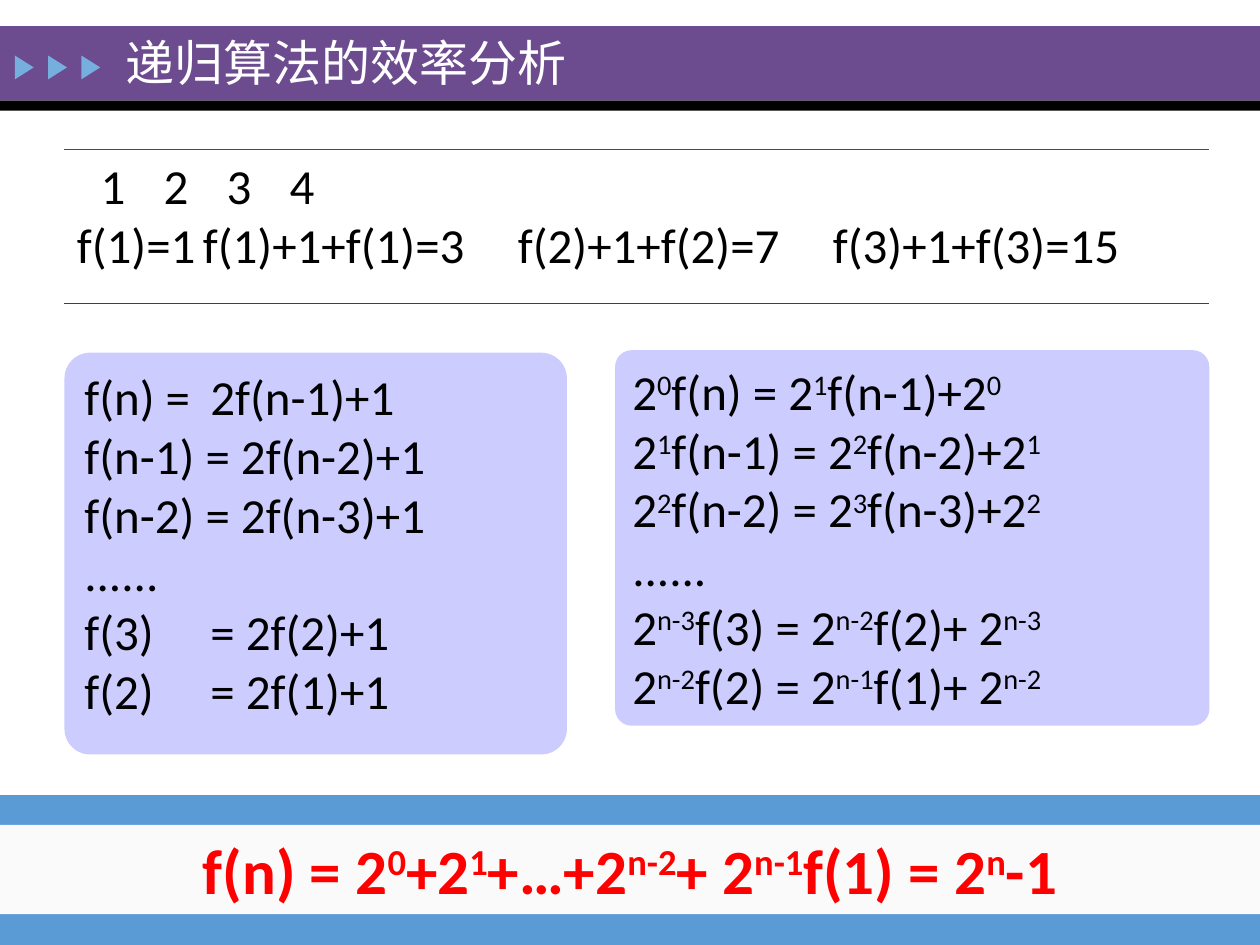
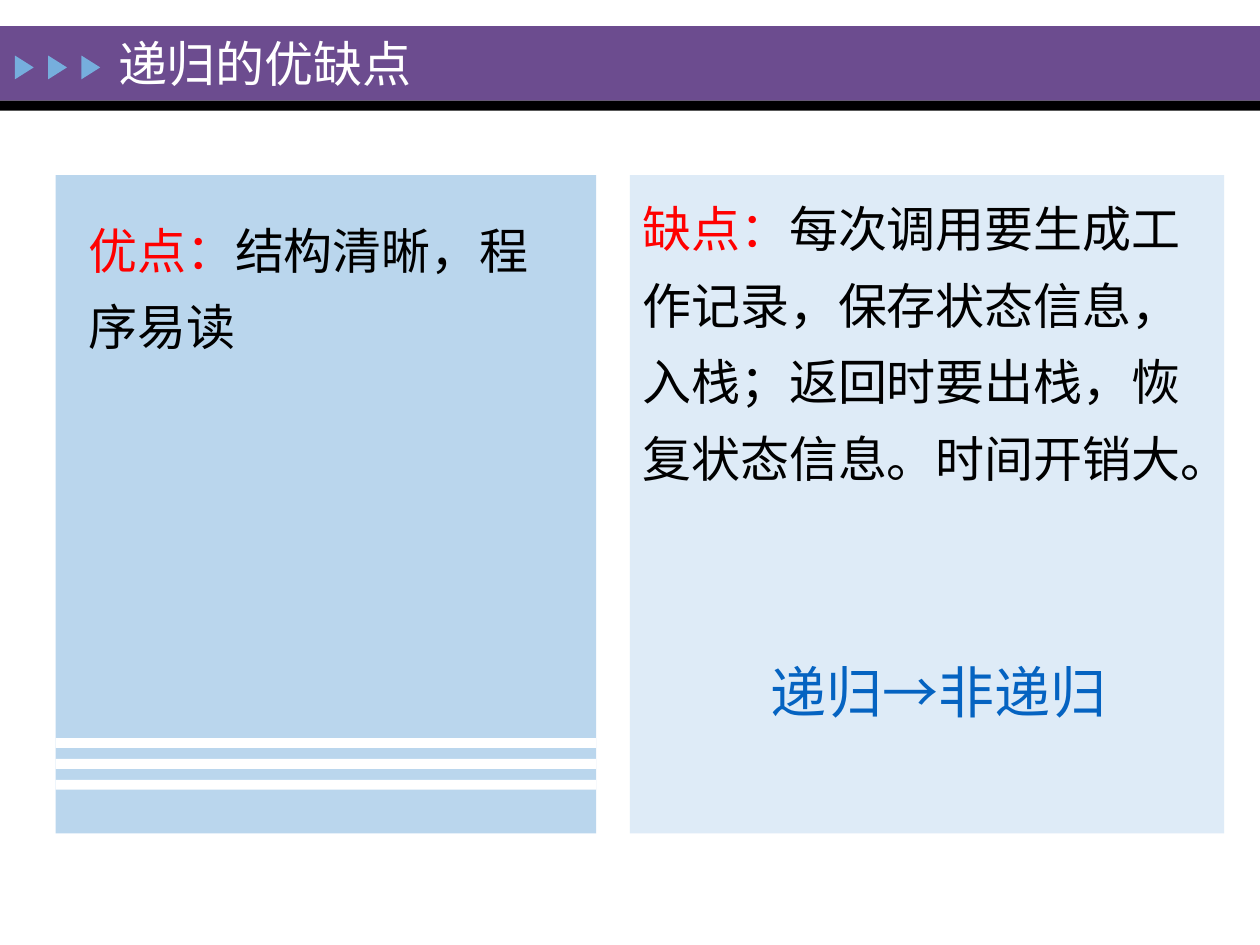
from lxml.etree import SubElement
from pptx import Presentation
from pptx.dml.color import RGBColor
from pptx.enum.shapes import MSO_CONNECTOR, MSO_SHAPE
from pptx.enum.text import MSO_ANCHOR, PP_ALIGN
from pptx.oxml.ns import qn
from pptx.util import Cm, Pt

FONT = "Calibri"
COLORS = {
    "band": "6C4C8F", "black": "000000", "white": "FFFFFF", "sky": "76AEDD",
    "footer": "5B9BD5", "strip": "FAFAFA", "panel": "CCCCFF", "pale": "DEEBF7",
    "red": "FF0000", "link": "0563C1", "rule": "404040",
}
WIDTH, HEIGHT = 25.4, 19.05


def color(name):
    return RGBColor.from_string(COLORS[name])


def add_block(slide, box, fill, kind=MSO_SHAPE.RECTANGLE, alpha=None):
    shape = slide.shapes.add_shape(kind, *map(Cm, box))
    shape.shadow.inherit = False
    shape.fill.solid()
    shape.fill.fore_color.rgb = color(fill)
    shape.line.fill.background()
    if alpha is not None:
        fill_color = shape.fill._xPr.find(qn("a:solidFill"))[0]
        SubElement(fill_color, qn("a:alpha")).set("val", str(alpha * 1000))
    return shape


def add_text_box(slide, box, wrap=True, anchor=MSO_ANCHOR.TOP):
    shape = slide.shapes.add_textbox(*map(Cm, box))
    shape.text_frame.word_wrap = wrap
    shape.text_frame.vertical_anchor = anchor
    return shape


def add_rule(slide, left, top, width, line_color, weight):
    rule = slide.shapes.add_connector(
        MSO_CONNECTOR.STRAIGHT, Cm(left), Cm(top), Cm(left + width), Cm(top))
    rule.line.color.rgb = color(line_color)
    rule.line.width = Pt(weight)
    SubElement(rule._element.spPr, qn("a:effectLst"))


def add_run(paragraph, text, text_color="black", size=28, bold=False):
    run = paragraph.add_run()
    run.text = text
    run.font.name = FONT
    run.font.size = Pt(size)
    run.font.bold = bold
    run.font.color.rgb = color(text_color)
    return run


def add_formula(paragraph, formula, **style):
    """Text between a pair of ^ marks is raised."""
    for index, part in enumerate(formula.split("^")):
        if part:
            run = add_run(paragraph, part, **style)
            if index % 2:
                run._r.get_or_add_rPr().set("baseline", "30000")


def set_tabs(paragraph, stops, indent=0):
    properties = paragraph._p.get_or_add_pPr()
    properties.set("marL", str(Cm(indent)))
    properties.set("indent", "0")
    tab_list = SubElement(properties, qn("a:tabLst"))
    for stop in stops:
        SubElement(tab_list, qn("a:tab"), pos=str(Cm(stop)), algn="l")


def add_lines(shape, lines):
    """Each line is (formula, tab stops, indent)."""
    frame = shape.text_frame
    for index, (formula, stops, indent) in enumerate(lines):
        paragraph = frame.add_paragraph() if index else frame.paragraphs[0]
        paragraph.alignment = PP_ALIGN.LEFT
        if stops:
            set_tabs(paragraph, stops, indent)
        add_formula(paragraph, formula)


def add_header(slide, title, box):
    add_block(slide, (0, 0.53, WIDTH, 1.5), "band")
    add_block(slide, (0, 2.03, WIDTH, 0.2), "black")
    for index in range(3):
        arrow = add_block(slide, (0.25 + 0.67 * index, 1.17, 0.48, 0.38), "sky",
                          MSO_SHAPE.ISOSCELES_TRIANGLE)
        arrow.rotation = 90
    title_box = add_text_box(slide, box, anchor=MSO_ANCHOR.MIDDLE)
    add_run(title_box.text_frame.paragraphs[0], title, "white")


def add_move_counts(slide, box):
    left, top, width, height = box
    counts = add_text_box(slide, (left, top, width, height - 0.46))
    add_lines(counts, [
        ("1\t2\t3\t4", (4.06, 10.62, 15.8), 0.48),
        ("f(1)=1\tf(1)+1+f(1)=3\tf(2)+1+f(2)=7\tf(3)+1+f(3)=15",
         (3.07, 9.25, 15.16), 0),
    ])
    add_rule(slide, left, top, width, "red", 0.75)
    add_rule(slide, left, top + height, width, "rule", 0.5)


def add_panel(slide, box, corner, lines):
    panel = add_block(slide, box, "panel", MSO_SHAPE.ROUNDED_RECTANGLE)
    panel.adjustments[0] = corner
    panel.text_frame.vertical_anchor = MSO_ANCHOR.TOP
    add_lines(panel, lines)


def add_result(slide, box, formula):
    left, top, width, height = box
    add_block(slide, box, "footer")
    strip = add_block(slide, (left, top + 0.6, width, 1.8), "strip")
    strip.text_frame.vertical_anchor = MSO_ANCHOR.TOP
    paragraph = strip.text_frame.paragraphs[0]
    paragraph.alignment = PP_ALIGN.CENTER
    add_formula(paragraph, formula, text_color="red", size=36, bold=True)


def add_judgement(shape, label, text):
    shape.text_frame.vertical_anchor = MSO_ANCHOR.TOP
    paragraph = shape.text_frame.paragraphs[0]
    paragraph.alignment = PP_ALIGN.LEFT
    paragraph.line_spacing = 1.3
    add_run(paragraph, label, "red")
    add_run(paragraph, text)


def add_advantages(slide, box):
    left, top, width, height = box
    add_block(slide, box, "sky", alpha=50)
    text_box = add_text_box(slide, (left + 0.41, top + 0.43, width - 0.92, 4.37))
    add_judgement(text_box, "优点：", "结构清晰，程序易读")
    # White stripes across the foot of the panel
    for index in range(3):
        add_block(slide, (left, top + 11.35 + 0.42 * index, width, 0.2), "white")


def add_drawbacks(slide, box):
    left, top, width, height = box
    panel = add_block(slide, box, "pale")
    add_judgement(panel, "缺点：", "每次调用要生成工作记录，保存状态信息，入栈；"
                  "返回时要出栈，恢复状态信息。时间开销大。")
    conclusion = add_text_box(slide, (left + 2.59, top + 9.6, 7.29, 1.6), wrap=False)
    add_run(conclusion.text_frame.paragraphs[0], "递归→非递归", "link", 32)


def build_efficiency_slide(slide):
    add_header(slide, "递归算法的效率分析", (2.29, 0.53, 15.09, 1.45))
    add_move_counts(slide, (1.3, 3.02, 23.08, 3.1))
    # Recurrence, then the same equations scaled by powers of two
    add_panel(slide, (1.3, 7.11, 10.13, 8.1), 0.064, [
        ("f(n) =\t2f(n-1)+1", (2.8,), 0),
        ("f(n-1) = 2f(n-2)+1", (), 0),
        ("f(n-2) = 2f(n-3)+1", (), 0),
        ("......", (), 0),
        ("f(3)\t= 2f(2)+1", (2.1,), 0),
        ("f(2)\t= 2f(1)+1", (2.1,), 0),
    ])
    scaled = [
        "2^0^f(n) = 2^1^f(n-1)+2^0^",
        "2^1^f(n-1) = 2^2^f(n-2)+2^1^",
        "2^2^f(n-2) = 2^3^f(n-3)+2^2^",
        "......",
        "2^n-3^f(3) = 2^n-2^f(2)+ 2^n-3^",
        "2^n-2^f(2) = 2^n-1^f(1)+ 2^n-2^",
    ]
    add_panel(slide, (12.4, 7.06, 11.98, 7.57), 0.044,
              [(formula, (), 0) for formula in scaled])
    add_result(slide, (0, 16.03, WIDTH, 3.02),
               "f(n) = 2^0^+2^1^+…+2^n-2^+ 2^n-1^f(1) = 2^n^-1")


def build_comparison_slide(slide):
    add_header(slide, "递归的优缺点", (2.13, 0.55, 9.1, 1.45))
    add_drawbacks(slide, (12.7, 3.53, 11.98, 13.27))
    add_advantages(slide, (1.12, 3.53, 10.9, 13.27))


def main():
    presentation = Presentation()
    presentation.slide_width, presentation.slide_height = Cm(WIDTH), Cm(HEIGHT)
    blank = presentation.slide_layouts[6]
    for build in (build_efficiency_slide, build_comparison_slide):
        build(presentation.slides.add_slide(blank))
    presentation.save("out.pptx")


if __name__ == "__main__":
    main()
